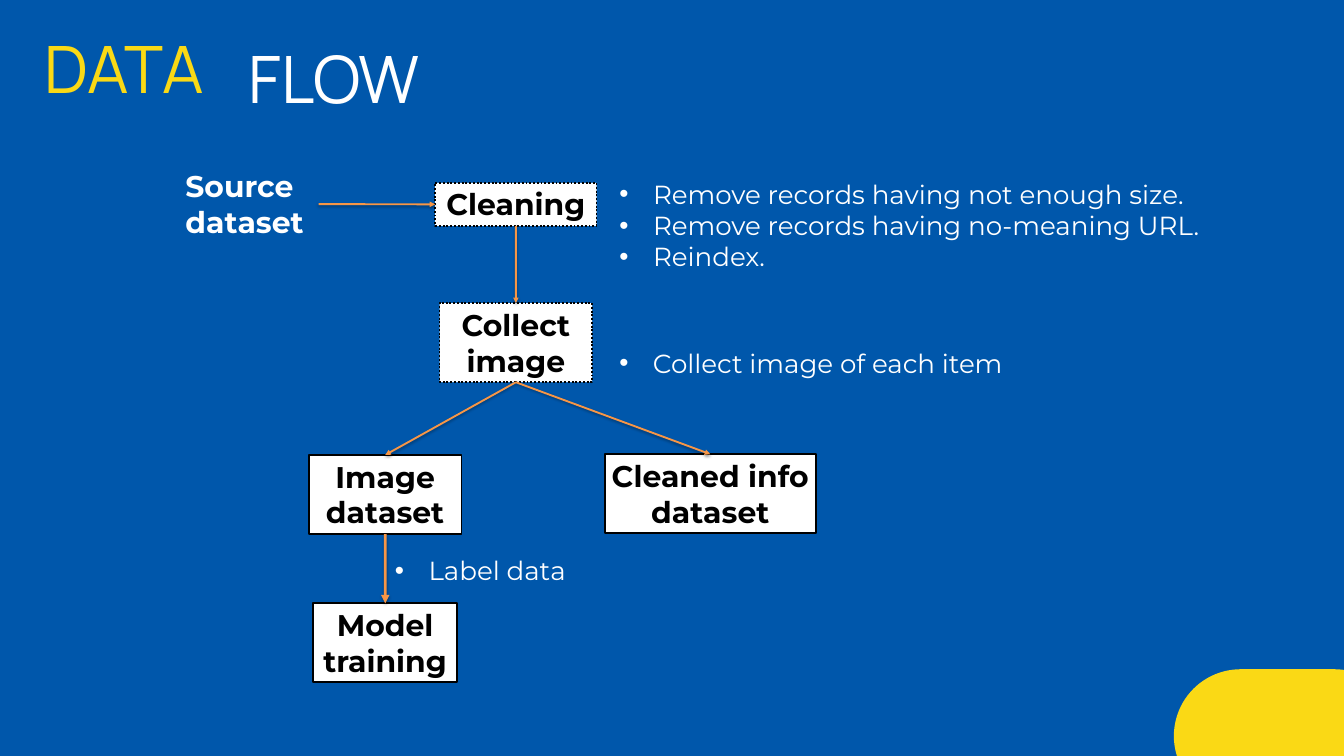
from lxml.etree import SubElement
from pptx import Presentation
from pptx.dml.color import RGBColor
from pptx.enum.dml import MSO_LINE
from pptx.enum.shapes import MSO_CONNECTOR, MSO_SHAPE
from pptx.enum.text import MSO_ANCHOR, MSO_AUTO_SIZE, PP_ALIGN
from pptx.oxml.ns import qn
from pptx.util import Cm, Pt

BLUE, YELLOW, ORANGE = "0057AB", "FAD915", "F79646"
WHITE, BLACK = "FFFFFF", "000000"
TOP, LEFT, BOTTOM, RIGHT = range(4)


def colour(value):
    return RGBColor.from_string(value)


def add_bullet(para):
    properties = para._p.get_or_add_pPr()
    properties.set("marL", str(Cm(1.27)))
    properties.set("indent", str(Cm(-1.27)))
    SubElement(properties, qn("a:buFont"), typeface="Arial")
    SubElement(properties, qn("a:buChar"), char="•")


def write(box, lines, size=32, font="Montserrat", color=WHITE, bold=False,
          align=PP_ALIGN.LEFT, bullet=False, spacing=None, inset=True):
    frame = box.text_frame
    frame.word_wrap = True
    frame.auto_size = MSO_AUTO_SIZE.SHAPE_TO_FIT_TEXT
    frame.vertical_anchor = MSO_ANCHOR.TOP
    if not inset:
        frame.margin_left = frame.margin_right = 0
        frame.margin_top = frame.margin_bottom = 0
    for index, line in enumerate(lines):
        para = frame.add_paragraph() if index else frame.paragraphs[0]
        para.alignment = align
        para.space_before = Pt(0)
        if spacing:
            para.line_spacing = Pt(spacing)
        if bullet:
            add_bullet(para)
        span = para.add_run()
        span.text = line
        span.font.size = Pt(size)
        span.font.name = font
        span.font.bold = bold
        span.font.color.rgb = colour(color)
    return box


class FlowSlide:
    def __init__(self, deck):
        self.page = deck.slides.add_slide(deck.slide_layouts[1])
        self.shapes = self.page.shapes
        fill = self.page.background.fill
        fill.solid()
        fill.fore_color.rgb = colour(BLUE)

    def place(self, holder, left, top, width, height):
        holder.left, holder.top = Cm(left), Cm(top)
        holder.width, holder.height = Cm(width), Cm(height)
        return holder

    def text_box(self, left, top, width, height):
        return self.shapes.add_textbox(Cm(left), Cm(top), Cm(width), Cm(height))

    def heading(self, box, text, **style):
        write(box, [text], size=70, font="Manrope", inset=False, **style)

    def bullets(self, box, *lines):
        write(box, lines, size=28, bullet=True)

    def shape(self, kind, left, top, width, height, fill):
        shape = self.shapes.add_shape(kind, Cm(left), Cm(top), Cm(width), Cm(height))
        shape.shadow.inherit = False
        shape.fill.solid()
        shape.fill.fore_color.rgb = colour(fill)
        shape.line.fill.background()
        return shape

    def corner(self, left, top, width, height):
        shape = self.shape(MSO_SHAPE.ROUNDED_RECTANGLE, left, top, width, height, YELLOW)
        shape.adjustments[0] = 0.5

    def step(self, text, centre, top, width, height=2.99, dotted=False):
        left = centre - width / 2
        box = self.shape(MSO_SHAPE.RECTANGLE, left, top, width, height, WHITE)
        box.line.color.rgb = colour(BLACK)
        box.line.width = Pt(2)
        if dotted:
            box.line.dash_style = MSO_LINE.ROUND_DOT
        return write(box, [text], color=BLACK, bold=True, align=PP_ALIGN.CENTER)

    def arrow(self, start, end, leave=BOTTOM, enter=TOP, width=2):
        line = self.shapes.add_connector(MSO_CONNECTOR.STRAIGHT, 0, 0, 0, 0)
        line.begin_connect(start, leave)
        line.end_connect(end, enter)
        line.line.color.rgb = colour(ORANGE)
        line.line.width = Pt(width)
        SubElement(line.line._get_or_add_ln(), qn("a:tailEnd"), type="triangle")


def main():
    deck = Presentation()
    deck.slide_width, deck.slide_height = Cm(50.8), Cm(28.58)
    slide = FlowSlide(deck)
    title, body = slide.page.placeholders

    slide.corner(44.37, 25.3, 8.59, 5.05)
    slide.heading(slide.place(title, 1.7, 1.07, 15.77, 3), "DATA", color=YELLOW)
    slide.heading(slide.text_box(9.4, 0.58, 8.64, 3.48), "FLOW", spacing=108)

    main_axis, image_axis, info_axis = 19.5, 14.56, 26.85
    source = write(slide.text_box(6.76, 6.22, 5.28, 2.99), ["Source dataset"], bold=True)
    cleaning = slide.step("Cleaning", main_axis, 6.91, 6.1, 1.63, dotted=True)
    collect = slide.step("Collect image", main_axis, 11.46, 5.77, dotted=True)
    images = slide.step("Image dataset", image_axis, 17.2, 5.77)
    info = slide.step("Cleaned info dataset", info_axis, 17.17, 7.98)
    training = slide.step("Model training", image_axis, 22.81, 5.44)

    slide.arrow(source, cleaning, leave=RIGHT, enter=LEFT)
    slide.arrow(cleaning, collect)
    slide.arrow(collect, images)
    slide.arrow(collect, info)
    slide.arrow(images, training, width=3)

    slide.bullets(
        slide.place(body, 23.16, 6.6, 22.56, 3.84),
        "Remove records having not enough size.",
        "Remove records having no-meaning URL.",
        "Reindex.",
    )
    slide.bullets(slide.text_box(23.16, 13, 15.54, 1.45), "Collect image of each item")
    slide.bullets(slide.text_box(14.68, 20.85, 6.96, 1.45), "Label data")

    deck.save("out.pptx")


if __name__ == "__main__":
    main()
